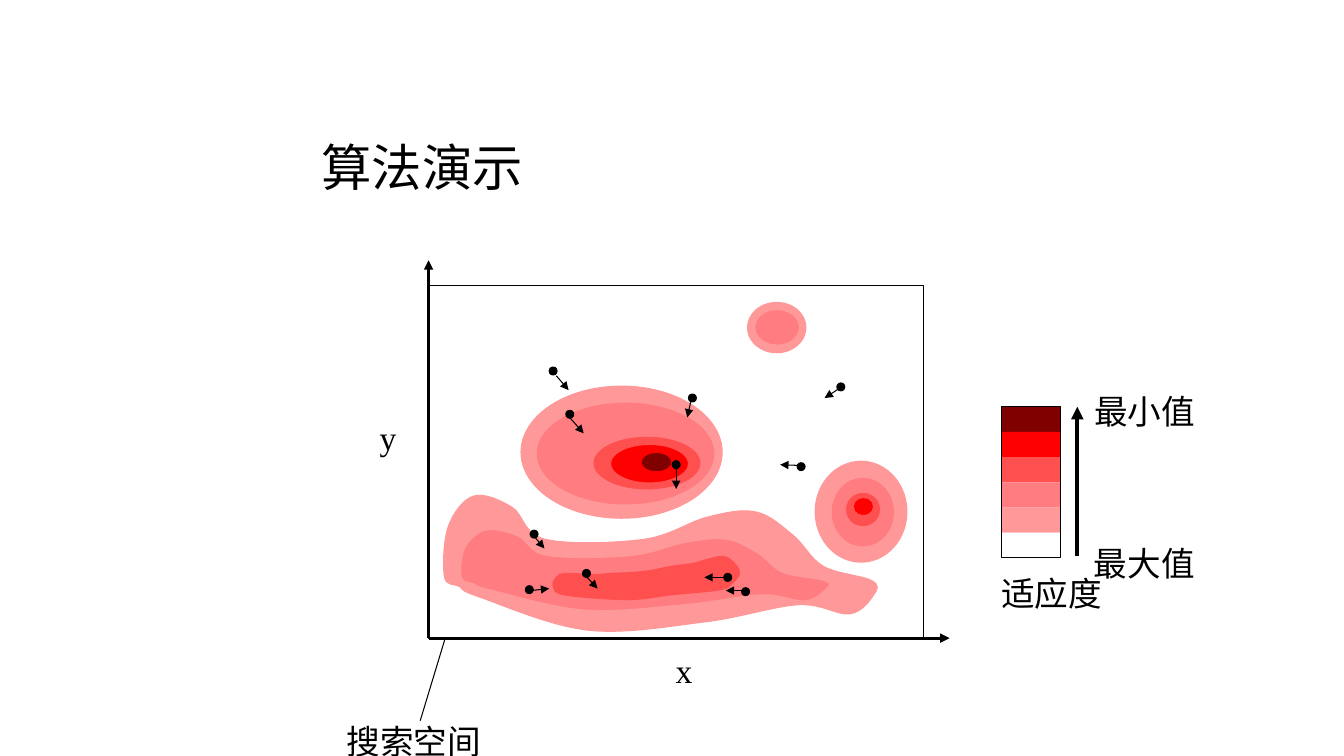
from lxml.etree import SubElement
from pptx import Presentation
from pptx.dml.color import RGBColor
from pptx.enum.shapes import MSO_CONNECTOR as CONN, MSO_SHAPE as SHAPE
from pptx.enum.text import MSO_ANCHOR as ANCHOR, MSO_AUTO_SIZE as FIT, PP_ALIGN as ALIGN
from pptx.oxml.ns import qn
from pptx.util import Cm, Pt

BLACK = RGBColor(0x00, 0x00, 0x00)
WHITE = RGBColor(0xFF, 0xFF, 0xFF)
PALE = RGBColor(0xFF, 0x99, 0x99)
PINK = RGBColor(0xFF, 0x7C, 0x80)
CORAL = RGBColor(0xFF, 0x50, 0x50)
RED = RGBColor(0xFF, 0x00, 0x00)
MAROON = RGBColor(0x80, 0x00, 0x00)

DOT = 0.2
LEGEND_X, LEGEND_Y, LEGEND_W, LEGEND_H = 25.25, 10.25, 1.48, 3.81
LEGEND_BANDS = [MAROON, RED, CORAL, PINK, PALE, WHITE]

RIGHT_HILL = [
    (20.53, 11.61, 2.34, 2.57, PALE),
    (20.96, 12.04, 1.57, 1.73, PINK),
    (21.32, 12.42, 0.86, 0.84, CORAL),
    (21.52, 12.55, 0.48, 0.43, RED),
]
OUTLINED_HILLS = [
    (18.84, 7.62, 1.47, 1.27, PALE, PALE),
    (19.05, 7.83, 1.07, 0.84, PINK, PINK),
    (13.13, 9.73, 5.07, 3.33, PALE, PALE),
    (13.54, 10.16, 4.45, 2.54, PINK, PINK),
    (14.97, 11.02, 2.67, 1.3, CORAL, CORAL),
    (15.39, 11.2, 1.96, 0.97, RED, CORAL),
    (16.19, 11.43, 0.71, 0.43, MAROON, MAROON),
]
RIDGES = [
    (PALE, PALE, [
        (12.07, 15.04), (14.81, 15.88), (17.78, 15.67), (20.12, 15.24), (21.41, 15.47),
        (22.02, 14.99), (21.97, 14.63), (20.75, 14.27), (19.99, 13.49), (19.05, 12.9),
        (17.83, 13.03), (16.23, 13.59), (13.74, 13.59), (12.9, 12.78), (11.94, 12.5),
        (11.3, 13.26), (11.2, 14.53), (11.58, 14.78)]),
    (PINK, PALE, [
        (12.34, 14.86), (14.71, 15.37), (17.22, 15.24), (19.2, 14.99), (20.29, 15.14),
        (20.83, 14.83), (20.78, 14.63), (19.74, 14.43), (19.1, 13.94), (18.31, 13.59),
        (17.27, 13.67), (15.9, 14), (13.79, 14), (13.06, 13.51), (12.24, 13.36),
        (11.71, 13.82), (11.63, 14.55), (11.94, 14.71)]),
    (CORAL, CORAL, [
        (14.22, 14.99), (15.82, 15.11), (16.92, 14.99), (18.16, 14.86), (18.47, 14.68),
        (18.64, 14.43), (18.47, 14.15), (18.21, 14.02), (17.81, 14.1), (17.45, 14.2),
        (16.92, 14.27), (16.38, 14.38), (15.85, 14.43), (15.39, 14.45), (14.96, 14.48),
        (14.25, 14.45), (14.02, 14.55), (13.94, 14.76)]),
]
PARTICLES = [
    ((13.84, 9.25), (14.02, 9.47), (14.33, 9.83)),
    ((14.26, 10.34), (14.33, 10.49), (14.71, 10.92)),
    ((17.35, 9.93), (17.42, 10.06), (17.32, 10.52)),
    ((13.36, 13.36), (13.44, 13.49), (13.72, 13.82)),
    ((14.68, 14.35), (14.73, 14.48), (15.06, 14.83)),
    ((18.24, 14.45), (18.36, 14.55), (17.75, 14.55)),
    ((20.09, 11.66), (20.19, 11.73), (19.66, 11.71)),
    ((21.09, 9.65), (21.21, 9.75), (20.78, 10.03)),
    ((18.69, 14.81), (18.77, 14.88), (18.29, 14.88)),
    ((13.24, 14.76), (13.39, 14.88), (13.84, 14.83)),
    ((16.94, 11.61), (17.04, 11.71), (17.04, 12.32)),
]
LABELS = [
    ("x", 16.78, 16.26, 0.94),
    ("y", 9.32, 10.37, 0.94),
    ("适应度", 24.98, 14.32, 3.07),
    ("最大值", 27.32, 13.56, 3.07),
    ("最小值", 27.33, 9.73, 3.07),
]


def paint(sp, fill=None, line=None):
    """Set the fill and thin outline of a shape, either of which may be absent."""
    sp.shadow.inherit = False
    if fill is None:
        sp.fill.background()
    else:
        sp.fill.solid()
        sp.fill.fore_color.rgb = fill
    if line is None:
        sp.line.fill.background()
    else:
        sp.line.color.rgb = line
        sp.line.width = Pt(0.75)


def add_rect(s, x, y, w, h, fill=None, line=None):
    """Draw a rectangle."""
    paint(s.shapes.add_shape(SHAPE.RECTANGLE, Cm(x), Cm(y), Cm(w), Cm(h)), fill, line)


def add_ellipse(s, x, y, w, h, fill, line=None):
    """Draw an ellipse."""
    paint(s.shapes.add_shape(SHAPE.OVAL, Cm(x), Cm(y), Cm(w), Cm(h)), fill, line)


def round_off(sp):
    """Turn the straight sides of a closed freeform into smooth curves through its corners."""
    outline = sp._element.spPr.find(".//" + qn("a:path"))
    knots = [(int(pt.get("x")), int(pt.get("y"))) for pt in outline.iter(qn("a:pt"))][:-1]
    n = len(knots)
    for i, side in enumerate(outline.findall(qn("a:lnTo"))):
        a, b, c, d = (knots[(i + k) % n] for k in (-1, 0, 1, 2))
        leave = [q + (r - p) / 6 for p, q, r in zip(a, b, c)]
        arrive = [q - (r - p) / 6 for p, q, r in zip(b, c, d)]
        curve = outline.makeelement(qn("a:cubicBezTo"))
        for x, y in (leave, arrive, c):
            SubElement(curve, qn("a:pt"), x=str(round(x)), y=str(round(y)))
        outline.replace(side, curve)


def add_ridge(s, fill, line, knots):
    """Draw a closed smooth outline through the knots."""
    pts = [(Cm(x), Cm(y)) for x, y in knots]
    builder = s.shapes.build_freeform(*pts[0])
    builder.add_line_segments(pts[1:] + pts[:1], close=True)
    sp = builder.convert_to_shape()
    round_off(sp)
    paint(sp, fill, line)


def add_line(s, start, end, width=0.75, arrow=True):
    """Draw a black straight line, with an arrowhead at its end unless told otherwise."""
    c = s.shapes.add_connector(CONN.STRAIGHT, *map(Cm, start + end))
    c.line.color.rgb = BLACK
    c.line.width = Pt(width)
    if arrow:
        SubElement(c._element.spPr.find(qn("a:ln")), qn("a:tailEnd"), type="triangle")
    SubElement(c._element.spPr, qn("a:effectLst"))


def add_text(s, text, x, y, w, h=1.3, size=24, font="Times New Roman",
             align=ALIGN.LEFT, anchor=ANCHOR.TOP, wrap=False, fit=FIT.SHAPE_TO_FIT_TEXT):
    """Place a black one-line text box."""
    tf = s.shapes.add_textbox(Cm(x), Cm(y), Cm(w), Cm(h)).text_frame
    tf.word_wrap = wrap
    tf.auto_size = fit
    tf.vertical_anchor = anchor
    p = tf.paragraphs[0]
    p.alignment = align
    r = p.add_run()
    r.text = text
    r.font.size = Pt(size)
    r.font.name = font
    r.font.color.rgb = BLACK


def add_particle(s, corner, start, end):
    """Draw a particle with its velocity arrow."""
    add_ellipse(s, *corner, DOT, DOT, BLACK, BLACK)
    add_line(s, start, end)


def add_legend(s):
    """Draw the fitness scale and its arrow."""
    band_h = LEGEND_H / len(LEGEND_BANDS)
    for i, color in enumerate(LEGEND_BANDS):
        add_rect(s, LEGEND_X, LEGEND_Y + i * band_h, LEGEND_W, band_h, color)
    add_rect(s, LEGEND_X, LEGEND_Y, LEGEND_W, LEGEND_H, line=BLACK)
    add_line(s, (27.15, 14), (27.15, LEGEND_Y), width=3)


def main():
    """Build the slide and save it."""
    prs = Presentation()
    prs.slide_width, prs.slide_height = Cm(33.87), Cm(19.05)
    s = prs.slides.add_slide(prs.slide_layouts[6])
    add_rect(s, 10.8, 7.19, 12.48, 8.89, WHITE, BLACK)
    for hill in RIGHT_HILL:
        add_ellipse(s, *hill)
    for tip in ((10.8, 6.56), (23.93, 16.08)):
        add_line(s, (10.8, 16.08), tip, width=2.25)
    for ridge in RIDGES:
        add_ridge(s, *ridge)
    for hill in OUTLINED_HILLS:
        add_ellipse(s, *hill)
    for particle in PARTICLES:
        add_particle(s, *particle)
    add_legend(s)
    for label in LABELS:
        add_text(s, *label)
    add_line(s, (11.22, 16.08), (10.59, 18.16), arrow=False)
    add_text(s, "搜索空间", 8.47, 18.03, 3.91, font="Karla", align=ALIGN.CENTER, wrap=True)
    add_text(s, "算法演示", 7.85, 1.02, 21.64, 4.06, size=36, font="Arial",
             anchor=ANCHOR.BOTTOM, wrap=True, fit=FIT.NONE)
    prs.save("out.pptx")


if __name__ == "__main__":
    main()
